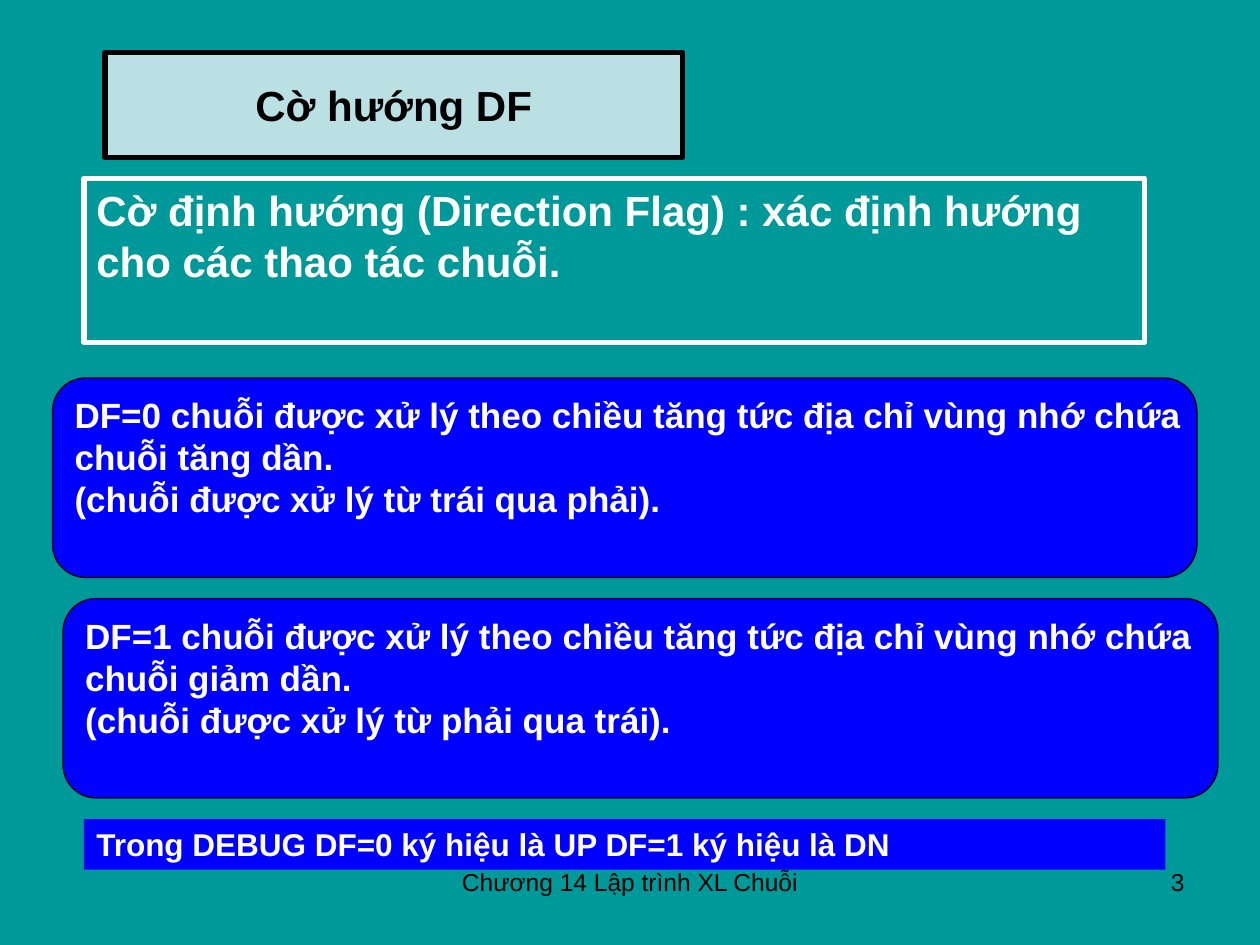
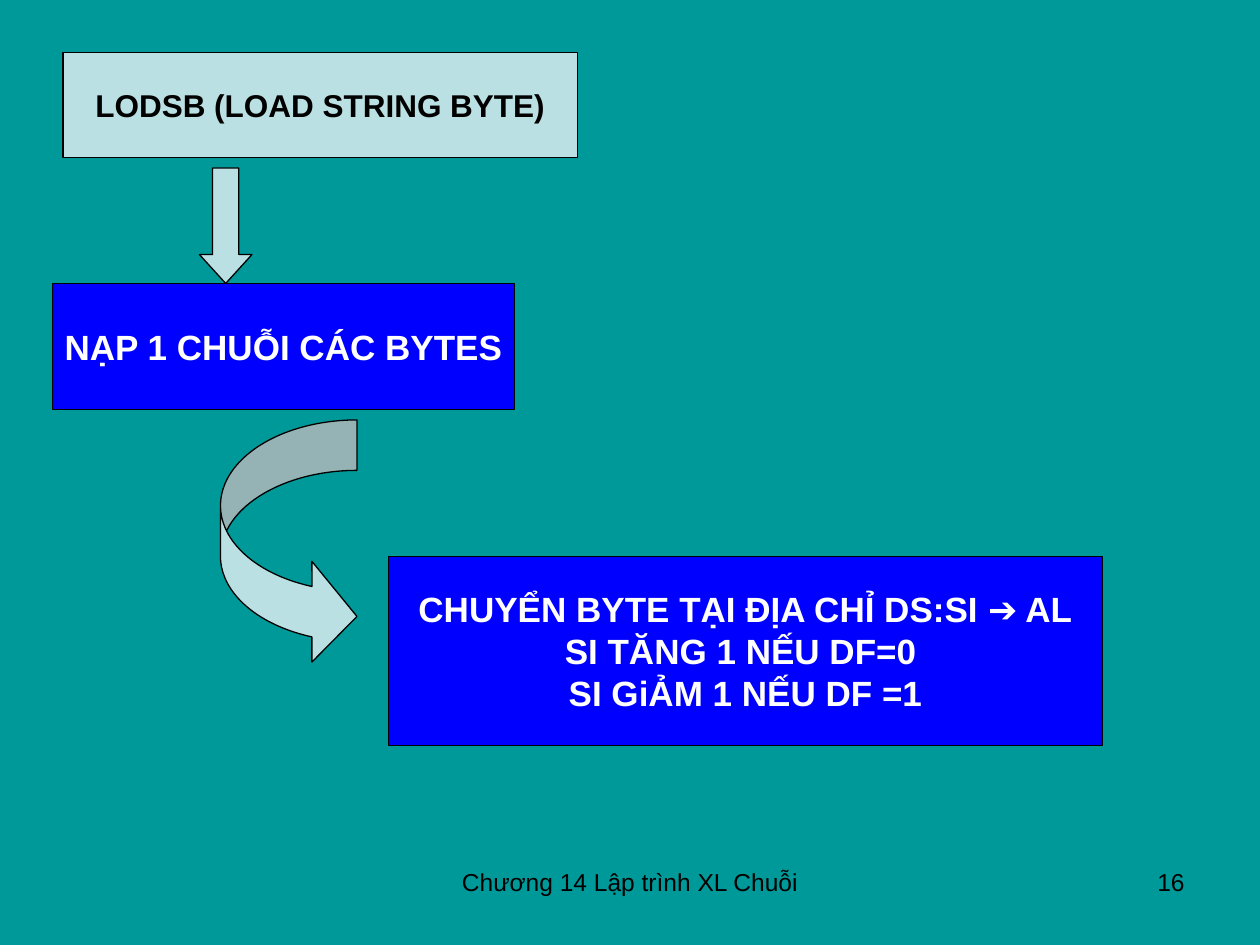
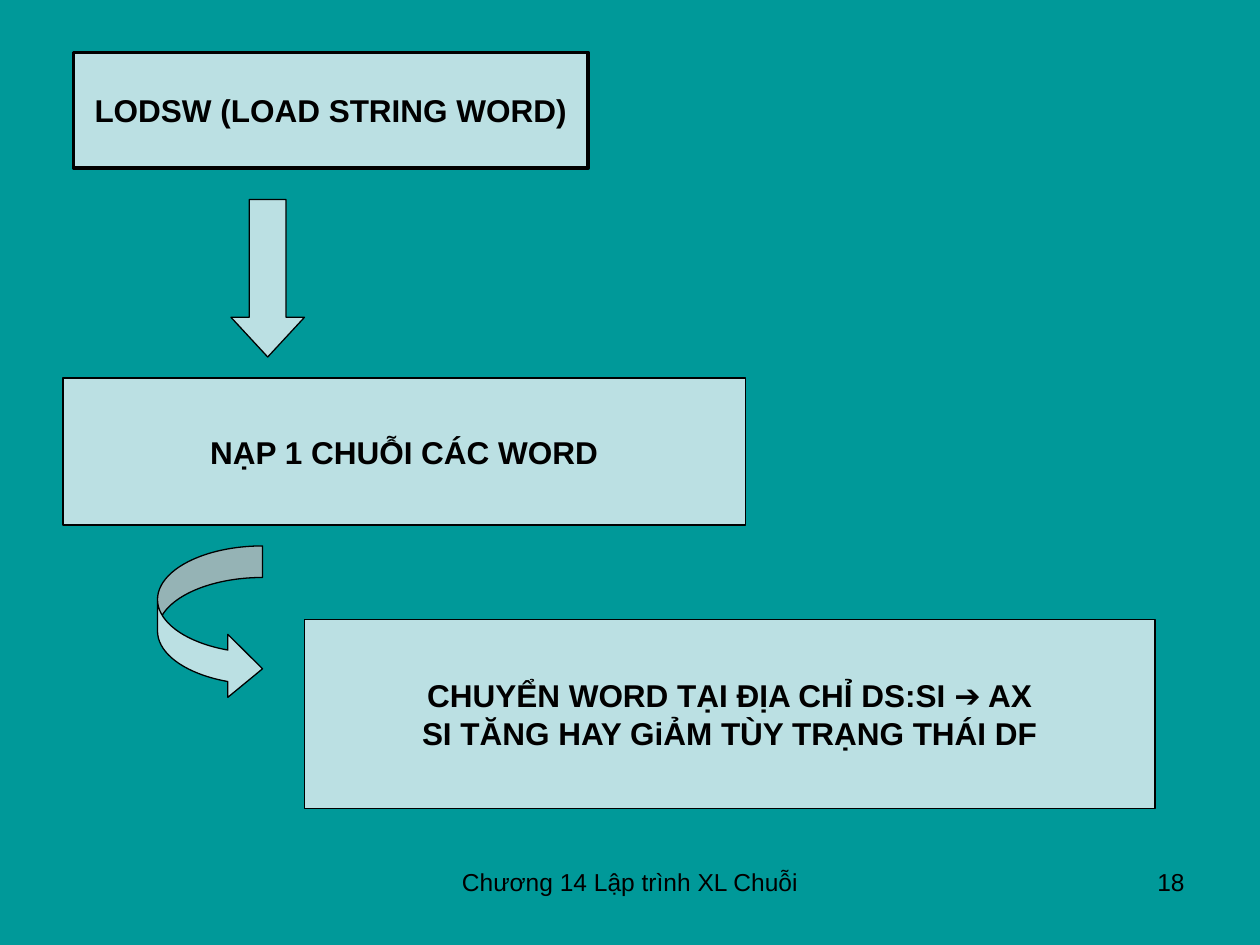
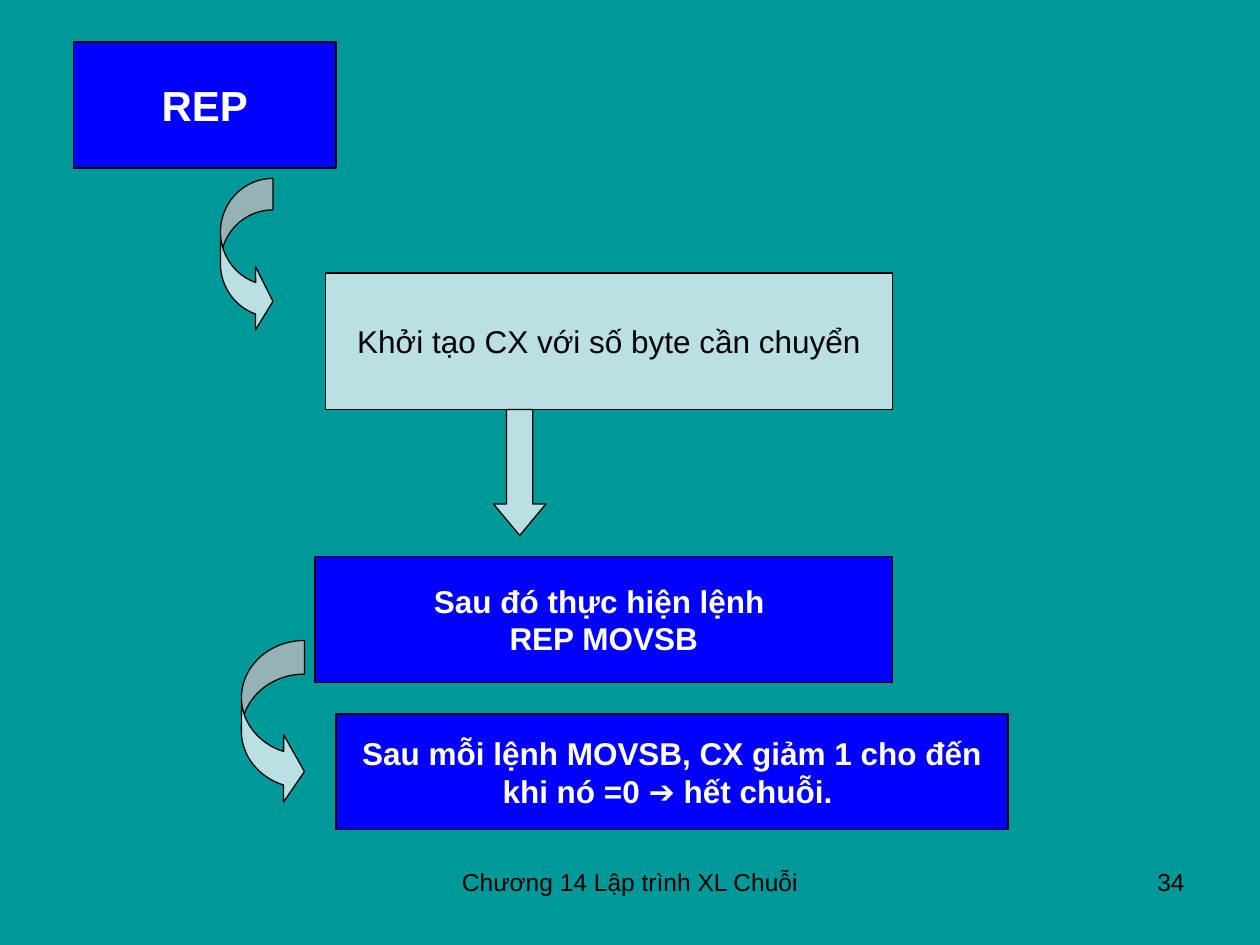
"""Build four slides on string instructions and the direction flag."""
import dataclasses

import lxml.etree
import pptx
import pptx.dml.color
import pptx.enum.shapes
import pptx.enum.text
import pptx.oxml.ns
import pptx.util

Pt = pptx.util.Pt
Color = pptx.dml.color.RGBColor
Kind = pptx.enum.shapes.MSO_SHAPE
Align = pptx.enum.text.PP_ALIGN
Anchor = pptx.enum.text.MSO_ANCHOR


@dataclasses.dataclass(frozen=True)
class Theme:
    """Colours and type sizes shared by all slides."""

    backdrop: Color = Color(0x00, 0x99, 0x99)
    pale: Color = Color(0xBB, 0xE0, 0xE3)
    blue: Color = Color(0x00, 0x00, 0xFF)
    black: Color = Color(0x00, 0x00, 0x00)
    white: Color = Color(0xFF, 0xFF, 0xFF)
    font: str = "Arial"
    heading: int = 24
    large: int = 20
    normal: int = 18
    footer: int = 14


theme = Theme()


def write_text(box, text, size=theme.normal, color=theme.black, bold=True,
               align=Align.CENTER, anchor=Anchor.MIDDLE, wrap=False):
    """Write one paragraph, with line breaks, into a box."""
    frame = box.text_frame
    frame.auto_size = pptx.enum.text.MSO_AUTO_SIZE.NONE
    frame.word_wrap = wrap
    frame.vertical_anchor = anchor
    para = frame.paragraphs[0]
    para.alignment = align
    for number, line in enumerate(text.split("\n")):
        if number:
            para.add_line_break()
        span = para.add_run()
        span.text = line
        span.font.name = theme.font
        span.font.size = Pt(size)
        span.font.bold = bold
        span.font.color.rgb = color


def paint(box, fill=theme.pale, outline=theme.black, weight=0.75):
    """Give a shape its fill and outline and take away its shadow."""
    box.shadow.inherit = False
    if fill is None:
        box.fill.background()
    else:
        box.fill.solid()
        box.fill.fore_color.rgb = fill
    if outline is None:
        box.line.fill.background()
    else:
        box.line.color.rgb = outline
        box.line.width = Pt(weight)


on_pale = {"fill": theme.pale}
on_blue = {"fill": theme.blue}
white_large = {"size": theme.large, "color": theme.white}
white_normal = {"color": theme.white}
flag_text = {**white_large, "align": Align.LEFT, "anchor": Anchor.TOP}

pages = [
    {
        "number": 3,
        "title": ("Cờ hướng DF", "flowChartTerminator", (60, 30, 330, 60),
                  {"weight": 3}, {"size": theme.heading}),
        "boxes": [
            (Kind.RECTANGLE, (48, 102, 606, 93.6),
             "Cờ định hướng (Direction Flag) : xác định hướng cho các thao tác chuỗi.",
             {"fill": None, "outline": theme.white, "weight": 3},
             {**flag_text, "size": theme.heading, "wrap": True}),
            (Kind.ROUNDED_RECTANGLE, (30, 216, 654, 114),
             "DF=0 chuỗi được xử lý theo chiều tăng tức địa chỉ vùng nhớ chứa\n"
             "chuỗi tăng dần.\n(chuỗi được xử lý từ trái qua phải).",
             on_blue, flag_text),
            (Kind.ROUNDED_RECTANGLE, (36, 342, 660, 114),
             "DF=1 chuỗi được xử lý theo chiều tăng tức địa chỉ vùng nhớ chứa\n"
             "chuỗi giảm dần.\n(chuỗi được xử lý từ phải qua trái).",
             on_blue, flag_text),
            (Kind.RECTANGLE, (48, 468, 618, 29),
             "Trong DEBUG DF=0 ký hiệu là UP DF=1 ký hiệu là DN",
             {"fill": theme.blue, "outline": None},
             {**flag_text, "size": theme.normal, "wrap": True}),
        ],
        "down_arrows": [],
        "curved_arrows": [],
    },
    {
        "number": 16,
        "title": ("LODSB (LOAD STRING BYTE)", "flowChartTerminator",
                  (36, 30, 294, 60), on_pale, {}),
        "boxes": [
            (Kind.RECTANGLE, (30, 162, 264, 72), "NẠP 1 CHUỖI CÁC BYTES",
             on_blue, white_large),
            (Kind.RECTANGLE, (222, 318, 408, 108),
             "CHUYỂN BYTE TẠI ĐỊA CHỈ DS:SI ➔ AL\n"
             "SI TĂNG 1 NẾU DF=0 \nSI GiẢM 1 NẾU DF =1",
             on_blue, white_large),
        ],
        "down_arrows": [((114, 96, 30, 66), 0.55)],
        "curved_arrows": [(126, 240, 78, 144)],
    },
    {
        "number": 18,
        "title": ("LODSW (LOAD STRING WORD)", "flowChartTerminator",
                  (42, 30, 294, 66), {"weight": 2.25}, {}),
        "boxes": [
            (Kind.RECTANGLE, (36, 216, 390, 84), "NẠP 1 CHUỖI CÁC WORD",
             on_pale, {}),
            (Kind.RECTANGLE, (174, 354, 486, 108),
             "CHUYỂN WORD TẠI ĐỊA CHỈ DS:SI ➔ AX\n"
             "SI TĂNG HAY GiẢM TÙY TRẠNG THÁI DF",
             on_pale, {}),
        ],
        "down_arrows": [((132, 114, 42, 90), 0.54)],
        "curved_arrows": [(90, 312, 60, 90)],
    },
    {
        "number": 34,
        "title": ("REP", "roundRect", (42, 24, 150, 72), on_blue,
                  {"size": theme.heading, "color": theme.white}),
        "boxes": [
            (Kind.RECTANGLE, (186, 156, 324, 78),
             "Khởi tạo CX với số byte cần chuyển", on_pale, {"bold": False}),
            (Kind.RECTANGLE, (180, 318, 330, 72),
             "Sau đó thực hiện lệnh \nREP MOVSB", on_blue, white_normal),
            (Kind.RECTANGLE, (192, 408, 384, 66),
             "Sau mỗi lệnh MOVSB, CX giảm 1 cho đến\nkhi nó =0 ➔ hết chuỗi. ",
             on_blue, white_normal),
        ],
        "down_arrows": [((282, 234, 30, 72), 0.6)],
        "curved_arrows": [(126, 102, 30, 90), (138, 366, 36, 96)],
    },
]

deck = pptx.Presentation()
deck.slide_width, deck.slide_height = Pt(720), Pt(540)
backdrop = deck.slide_master.background.fill
backdrop.solid()
backdrop.fore_color.rgb = theme.backdrop

for content in pages:
    page = deck.slides.add_slide(deck.slide_layouts[5])

    text, outline_name, bounds, look, text_format = content["title"]
    title = page.shapes.title
    title.left, title.top, title.width, title.height = map(Pt, bounds)
    geometry = lxml.etree.Element(pptx.oxml.ns.qn("a:prstGeom"), prst=outline_name)
    lxml.etree.SubElement(geometry, pptx.oxml.ns.qn("a:avLst"))
    title.element.spPr.insert(1, geometry)
    paint(title, **look)
    write_text(title, text, **text_format)

    for kind, bounds, text, look, text_format in content["boxes"]:
        box = page.shapes.add_shape(kind, *map(Pt, bounds))
        paint(box, **look)
        write_text(box, text, **text_format)

    for bounds, head in content["down_arrows"]:
        arrow = page.shapes.add_shape(Kind.DOWN_ARROW, *map(Pt, bounds))
        arrow.adjustments[1] = head
        paint(arrow)

    for left, top, width, height in content["curved_arrows"]:
        arrow = page.shapes.add_shape(
            Kind.CURVED_RIGHT_ARROW, Pt(left), Pt(top), Pt(width), Pt(height * 0.98))
        arrow.adjustments[0] = 0.2 * height / width
        arrow.adjustments[1] = 0.4 * height / width
        arrow.adjustments[2] = 0.33
        paint(arrow)

    for left, width, text, align in (
        (246, 228, "Chương 14 Lập trình XL Chuỗi", Align.CENTER),
        (516, 168, str(content["number"]), Align.RIGHT),
    ):
        footer = page.shapes.add_textbox(Pt(left), Pt(492), Pt(width), Pt(37.5))
        write_text(footer, text, size=theme.footer, bold=False, align=align,
                   anchor=Anchor.TOP, wrap=True)

deck.save("out.pptx")
